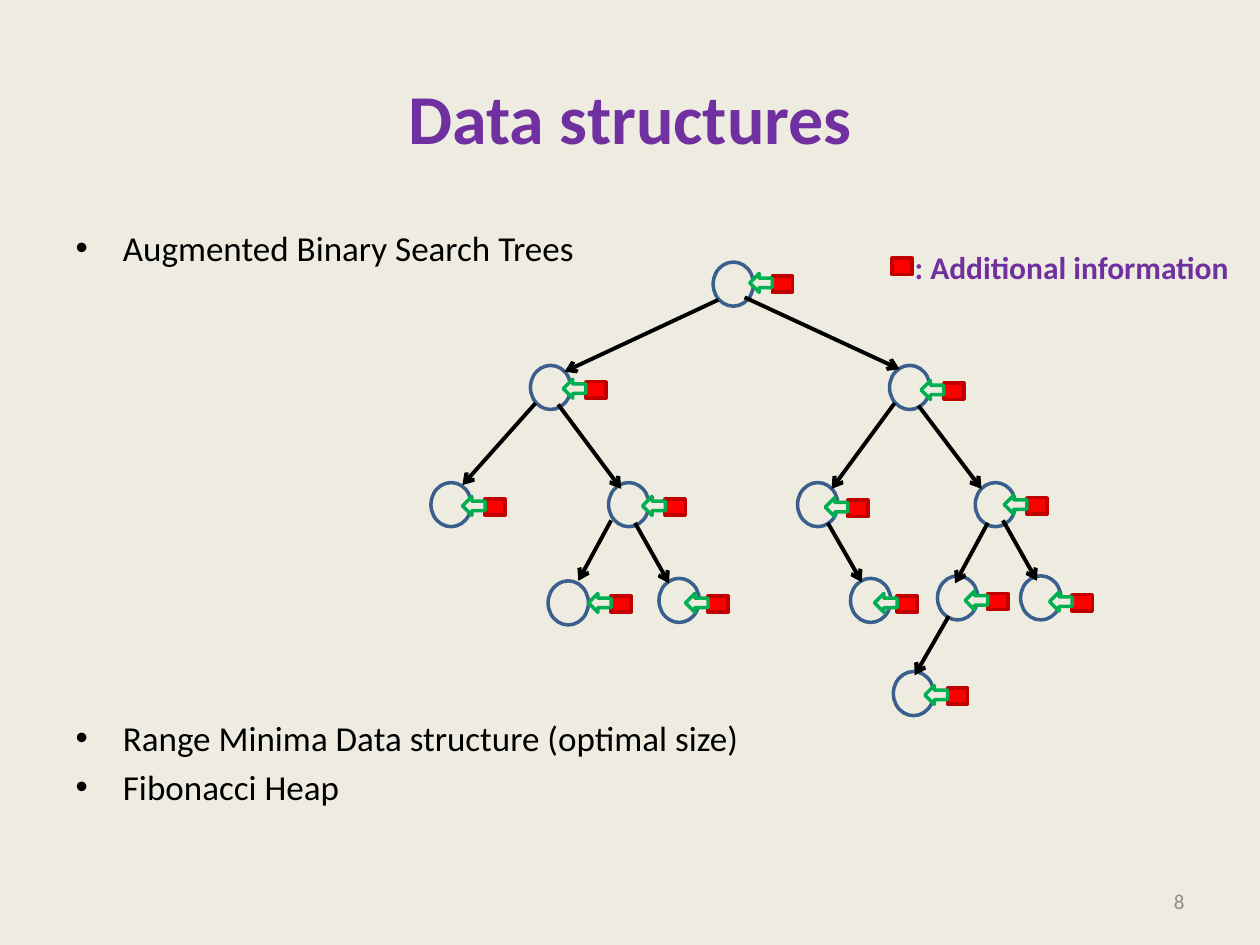
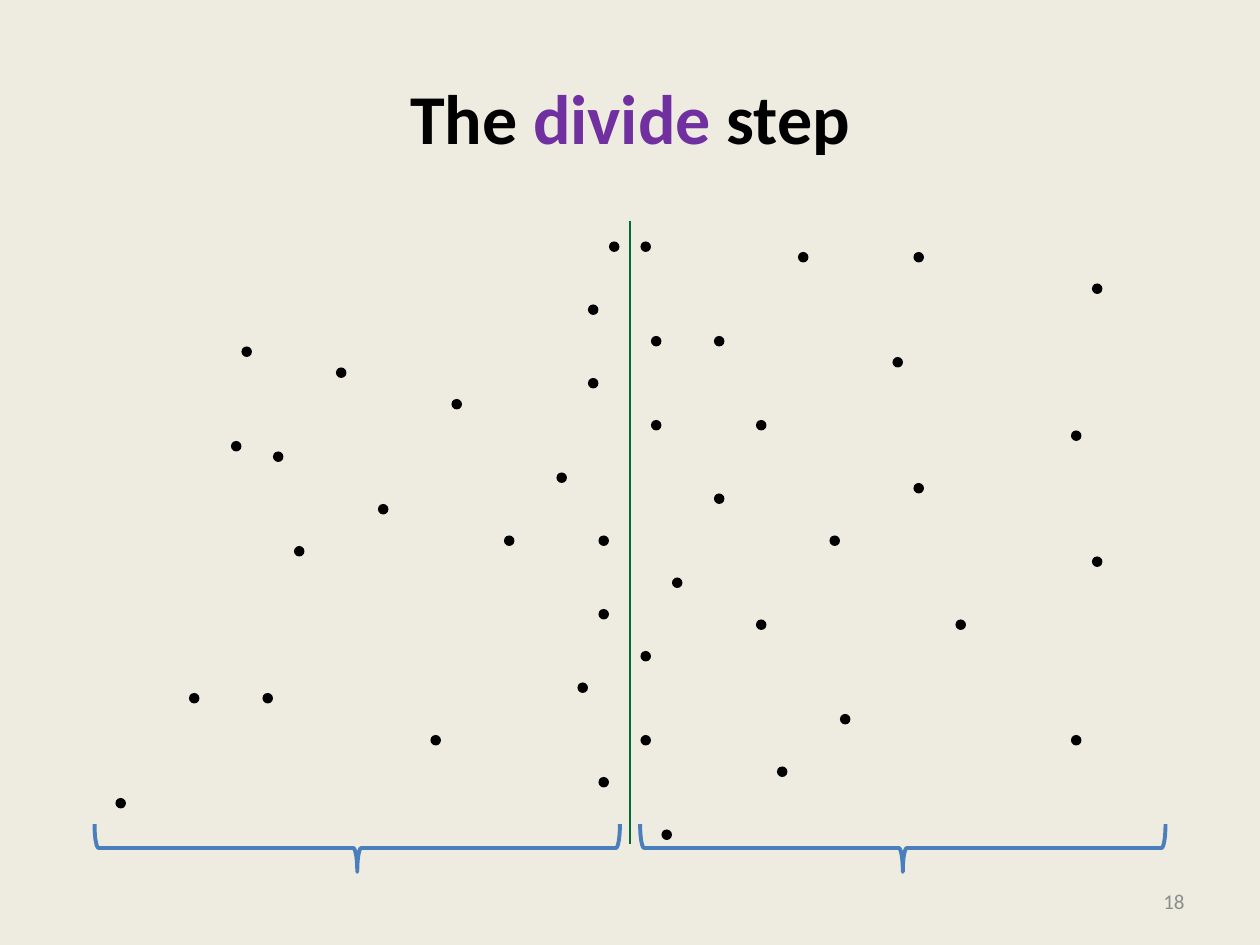
import pptx
import pptx.dml.color
import pptx.enum.shapes
import pptx.enum.text
import pptx.oxml
import pptx.oxml.ns
import pptx.util
from pptx.util import Inches

COLORS = {
    "background": "EEECE1",
    "text": "000000",
    "accent": "7030A0",
    "number": "8C8C8C",
    "node": "3A5F8C",
    "tag": "FF0000",
    "tag_edge": "C00000",
    "pointer": "00B050",
    "divider": "006C31",
    "brace": "4B7EBC",
}
FONT = "Calibri"
SHAPES = pptx.enum.shapes.MSO_SHAPE
ALIGN = pptx.enum.text.PP_ALIGN
ANCHOR = pptx.enum.text.MSO_ANCHOR
TITLE_ONLY, TITLE_AND_BODY = 5, 1

NODE_SIZE = (0.32, 0.35)
TAG_SIZE = (0.16, 0.13)
POINTER_SIZE = (0.18, 0.15)

TREE_NODES = [
    (5.66, 2.08),
    (4.21, 2.9), (7.06, 2.9),
    (3.42, 3.83), (4.83, 3.83), (6.33, 3.83), (7.74, 3.83),
    (4.35, 4.61), (5.23, 4.59), (6.75, 4.59), (7.44, 4.57), (8.1, 4.57),
    (7.09, 5.33),
]
TREE_POINTERS = [
    (5.95, 2.17),
    (4.47, 3.01), (7.31, 3.02),
    (3.67, 3.94), (5.1, 3.94), (6.55, 3.95), (7.97, 3.93),
    (4.67, 4.71), (5.44, 4.71), (6.94, 4.71), (7.66, 4.69), (8.33, 4.7),
    (7.34, 5.44),
]
TREE_EDGES = [
    ((5.7, 2.38), (4.48, 2.95)), ((5.91, 2.36), (7.14, 2.93)),
    ((4.25, 3.2), (3.67, 3.85)), ((4.43, 3.21), (4.93, 3.88)),
    ((7.1, 3.2), (6.6, 3.88)), ((7.29, 3.22), (7.79, 3.88)),
    ((4.85, 4.13), (4.59, 4.61)), ((5.04, 4.15), (5.31, 4.63)),
    ((6.57, 4.15), (6.84, 4.62)), ((7.84, 4.15), (7.58, 4.63)),
    ((7.96, 4.13), (8.23, 4.61)), ((7.53, 4.89), (7.26, 5.36)),
]

POINT_GRID = 1 / 12
LEFT_POINTS = [
    (43, 38), (48, 51), (55, 65), (41, 70), (36, 48), (32, 35), (26, 43),
    (28, 52), (22, 42), (25, 66), (23, 33), (56, 29), (18, 66), (11, 76),
    (57, 51), (57, 74), (57, 58), (56, 36), (53, 45), (58, 23),
]
RIGHT_POINTS = [
    (87, 46), (61, 62), (79, 51), (80, 68), (68, 32), (91, 59), (85, 34),
    (72, 40), (72, 59), (74, 73), (76, 24), (87, 24), (102, 41), (104, 53),
    (104, 27), (102, 70), (63, 79), (64, 55), (62, 40), (62, 32), (68, 47),
    (61, 23), (61, 70),
]


def rgb(color):
    return pptx.dml.color.RGBColor.from_string(COLORS[color])


def add_run(paragraph, text, size, color="text", bold=False):
    run = paragraph.add_run()
    run.text = text
    run.font.name = FONT
    run.font.size = pptx.util.Pt(size)
    run.font.bold = bold
    run.font.color.rgb = rgb(color)


def add_slide(deck, layout, number, title_parts):
    slide = deck.slides.add_slide(deck.slide_layouts[layout])
    slide.background.fill.solid()
    slide.background.fill.fore_color.rgb = rgb("background")

    title = slide.shapes.title
    title.left, title.top = Inches(0.5), Inches(0.3)
    title.width, title.height = Inches(9), Inches(1.25)
    heading = title.text_frame.paragraphs[0]
    heading.alignment = ALIGN.CENTER
    for text, color in title_parts:
        add_run(heading, text, 40, color, True)

    page = add_label(slide, (7.17, 6.95, 2.33, 0.4), str(number), 12, "number")
    page.vertical_anchor = ANCHOR.MIDDLE
    page.word_wrap = True
    page.paragraphs[0].alignment = ALIGN.RIGHT
    return slide


def add_label(slide, box, text, size, color, bold=False):
    frame = slide.shapes.add_textbox(*map(Inches, box)).text_frame
    frame.word_wrap = False
    add_run(frame.paragraphs[0], text, size, color, bold)
    return frame


def add_list(slide, items):
    body = slide.placeholders[1]
    body.left, body.top = Inches(0.5), Inches(1.75)
    body.width, body.height = Inches(9), Inches(4.95)
    frame = body.text_frame
    frame.auto_size = pptx.enum.text.MSO_AUTO_SIZE.NONE
    for index, (text, space_before) in enumerate(items):
        item = frame.add_paragraph() if index else frame.paragraphs[0]
        item.space_before = pptx.util.Pt(space_before)
        add_run(item, text, 20)


def add_figure(slide, kind, position, size, fill=None, line=None, width=2):
    figure = slide.shapes.add_shape(kind, *map(Inches, position + size))
    figure.shadow.inherit = False
    if fill:
        figure.fill.solid()
        figure.fill.fore_color.rgb = rgb(fill)
    else:
        figure.fill.background()
    if line:
        figure.line.color.rgb = rgb(line)
        figure.line.width = pptx.util.Pt(width)
    else:
        figure.line.fill.background()
    return figure


def add_line(slide, start, end, color, width, arrow=False):
    line = slide.shapes.add_connector(
        pptx.enum.shapes.MSO_CONNECTOR.STRAIGHT, *map(Inches, start + end))
    line.line.color.rgb = rgb(color)
    line.line.width = pptx.util.Pt(width)
    if arrow:
        head = pptx.oxml.parse_xml(
            f'<a:tailEnd {pptx.oxml.ns.nsdecls("a")} type="arrow"/>')
        line.line._get_or_add_ln().append(head)
    properties = line._element.spPr
    properties.append(pptx.oxml.parse_xml(
        f'<a:effectLst {pptx.oxml.ns.nsdecls("a")}/>'))


def add_tag(slide, position):
    add_figure(slide, SHAPES.RECTANGLE, position, TAG_SIZE, "tag", "tag_edge")


def add_tree(slide):
    for node in TREE_NODES:
        add_figure(slide, SHAPES.OVAL, node, NODE_SIZE, "background", "node")
    for parent, child in TREE_EDGES:
        add_line(slide, parent, child, "text", 2.25, arrow=True)
    for left, top in TREE_POINTERS:
        add_tag(slide, (left + POINTER_SIZE[0], top + 0.02))
        add_figure(slide, SHAPES.LEFT_ARROW, (left, top), POINTER_SIZE,
                   "background", "pointer")


def add_points(slide, points):
    for column, row in points:
        add_figure(slide, SHAPES.OVAL, (column * POINT_GRID, row * POINT_GRID),
                   (POINT_GRID, POINT_GRID), "text")


def add_bottom_brace(slide, left):
    span, depth, middle = 4.17, 0.38, 6.73
    position = (left + (span - depth) / 2, middle - span / 2)
    brace = add_figure(slide, SHAPES.RIGHT_BRACE, position, (depth, span),
                       line="brace", width=2.25)
    brace.rotation = 90


def build_data_structures(deck):
    slide = add_slide(deck, TITLE_AND_BODY, 8, [("Data structures", "accent")])
    add_list(slide, [
        ("Augmented Binary Search Trees", 4),
        ("Range Minima Data structure (optimal size)", 256),
        ("Fibonacci Heap", 4),
    ])
    add_tree(slide)
    add_label(slide, (7.16, 1.92, 2.72, 0.4), ": Additional information",
              18, "accent", True)
    add_tag(slide, (7.08, 2.05))


def build_divide_step(deck):
    slide = add_slide(deck, TITLE_ONLY, 18, [
        ("The ", "text"), ("divide", "accent"), (" step", "text")])
    add_points(slide, LEFT_POINTS + RIGHT_POINTS)
    add_line(slide, (5, 1.75), (5, 6.7), "divider", 1.5)
    for left in (0.75, 5.08):
        add_bottom_brace(slide, left)


def main():
    deck = pptx.Presentation()
    deck.slide_width, deck.slide_height = Inches(10), Inches(7.5)
    build_data_structures(deck)
    build_divide_step(deck)
    deck.save("out.pptx")


if __name__ == "__main__":
    main()
